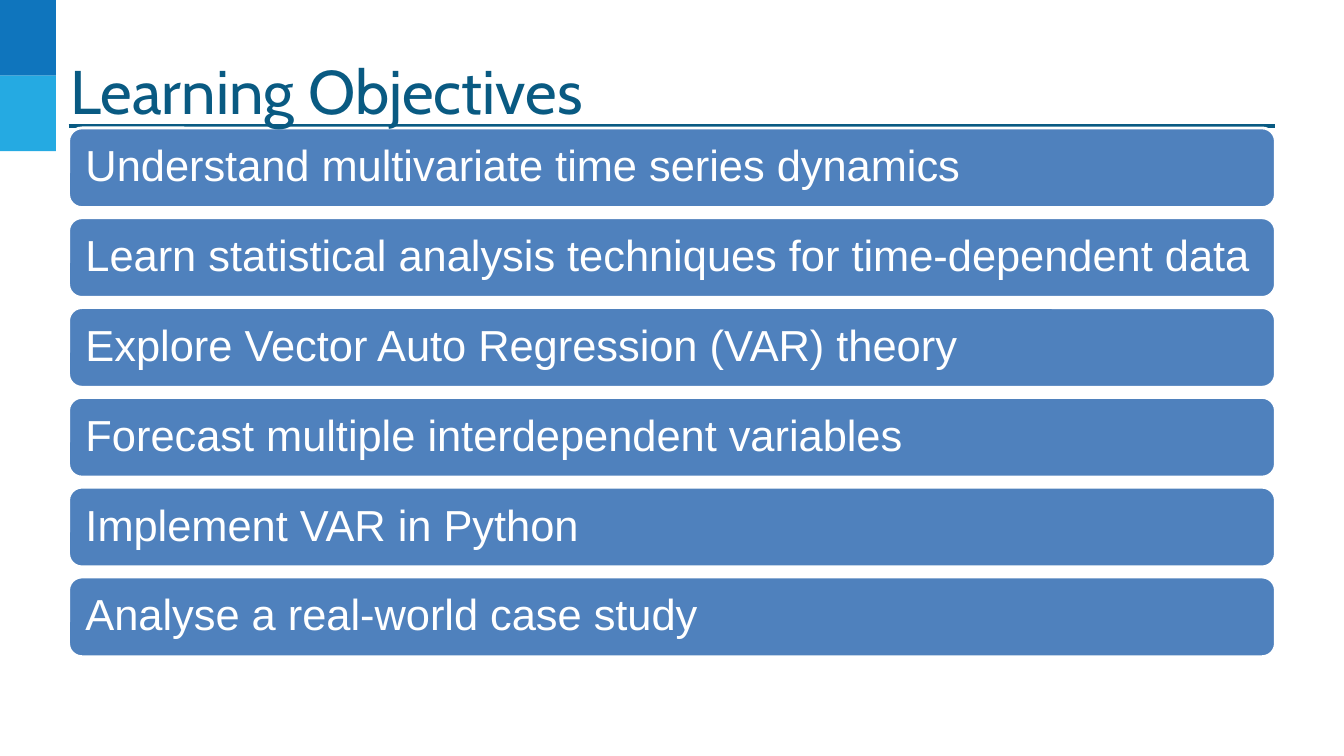
from pptx import Presentation
from pptx.dml.color import RGBColor
from pptx.enum.shapes import MSO_CONNECTOR as Connector, MSO_SHAPE as Shape
from pptx.enum.text import MSO_ANCHOR as Anchor, PP_ALIGN as Align
from pptx.oxml.ns import qn
from pptx.util import Pt

# Content
TITLE = "Learning Objectives"
OBJECTIVES = [
    "Understand multivariate time series dynamics",
    "Learn statistical analysis techniques for time-dependent data",
    "Explore Vector Auto Regression (VAR) theory",
    "Forecast multiple interdependent variables",
    "Implement VAR in Python",
    "Analyse a real-world case study",
]
CORNER_COLORS = ["0F75BD", "25AAE2"]
TITLE_COLOR, BAR_COLOR, WHITE = "095A82", "4F81BD", "FFFFFF"

# Layout in points
LEFT, WIDTH = 49, 862
CORNER_WIDTH, CORNER_HEIGHT = 40, 54
TITLE_TOP, TITLE_HEIGHT, RULE_Y = 36, 39, 90
BAR_TOP, BAR_HEIGHT, BAR_STEP = 91.4, 56.9, 64.15


def color(value):
    return RGBColor.from_string(value)


def add_block(kind, left, top, width, height, fill):
    block = page.shapes.add_shape(kind, Pt(left), Pt(top), Pt(width), Pt(height))
    block.shadow.inherit = False
    block.fill.solid()
    block.fill.fore_color.rgb = color(fill)
    block.line.fill.background()
    return block


def write(shape, text, inset, anchor, spacing, font):
    frame = shape.text_frame
    frame.text = text
    sides = ("margin_left", "margin_top", "margin_right", "margin_bottom")
    frame_format = dict.fromkeys(sides, Pt(inset))
    frame_format.update(word_wrap=True, vertical_anchor=anchor)
    for name, value in frame_format.items():
        setattr(frame, name, value)
    para = frame.paragraphs[0]
    para.alignment = Align.LEFT
    para.line_spacing = spacing
    span = para.runs[0]
    for name, value in font.items():
        if name == "color":
            span.font.color.rgb = color(value)
        else:
            setattr(span.font, name, value)


deck = Presentation()
deck.slide_width, deck.slide_height = Pt(960), Pt(540)
page = deck.slides.add_slide(deck.slide_layouts[5])

# Corner squares
for index, fill in enumerate(CORNER_COLORS):
    add_block(Shape.RECTANGLE, 0, index * CORNER_HEIGHT, CORNER_WIDTH, CORNER_HEIGHT, fill)

# Rule under the title
rule = page.shapes.add_connector(
    Connector.STRAIGHT, Pt(LEFT), Pt(RULE_Y), Pt(LEFT + WIDTH), Pt(RULE_Y))
rule.line.color.rgb = color(TITLE_COLOR)
rule.line.width = Pt(2.25)
properties = rule._element.spPr
properties.append(properties.makeelement(qn("a:effectLst"), {}))

# Objective bars
bar_font = {"name": "Arial", "size": Pt(31), "color": WHITE}
for index, objective in enumerate(OBJECTIVES):
    bar = add_block(Shape.ROUNDED_RECTANGLE, LEFT, BAR_TOP + index * BAR_STEP,
                    WIDTH, BAR_HEIGHT, BAR_COLOR)
    bar.line.color.rgb = color(WHITE)
    bar.line.width = Pt(2)
    write(bar, objective, 9.3, Anchor.MIDDLE, 0.9, bar_font)

# Title, brought in front of the rule and bars
title = page.shapes.title
title.left, title.top = Pt(LEFT), Pt(TITLE_TOP)
title.width, title.height = Pt(WIDTH), Pt(TITLE_HEIGHT)
write(title, TITLE, 1.44, Anchor.TOP, 1.0,
      {"name": "Cabin", "size": Pt(44), "color": TITLE_COLOR})
title._element.getparent().append(title._element)

deck.save("out.pptx")
